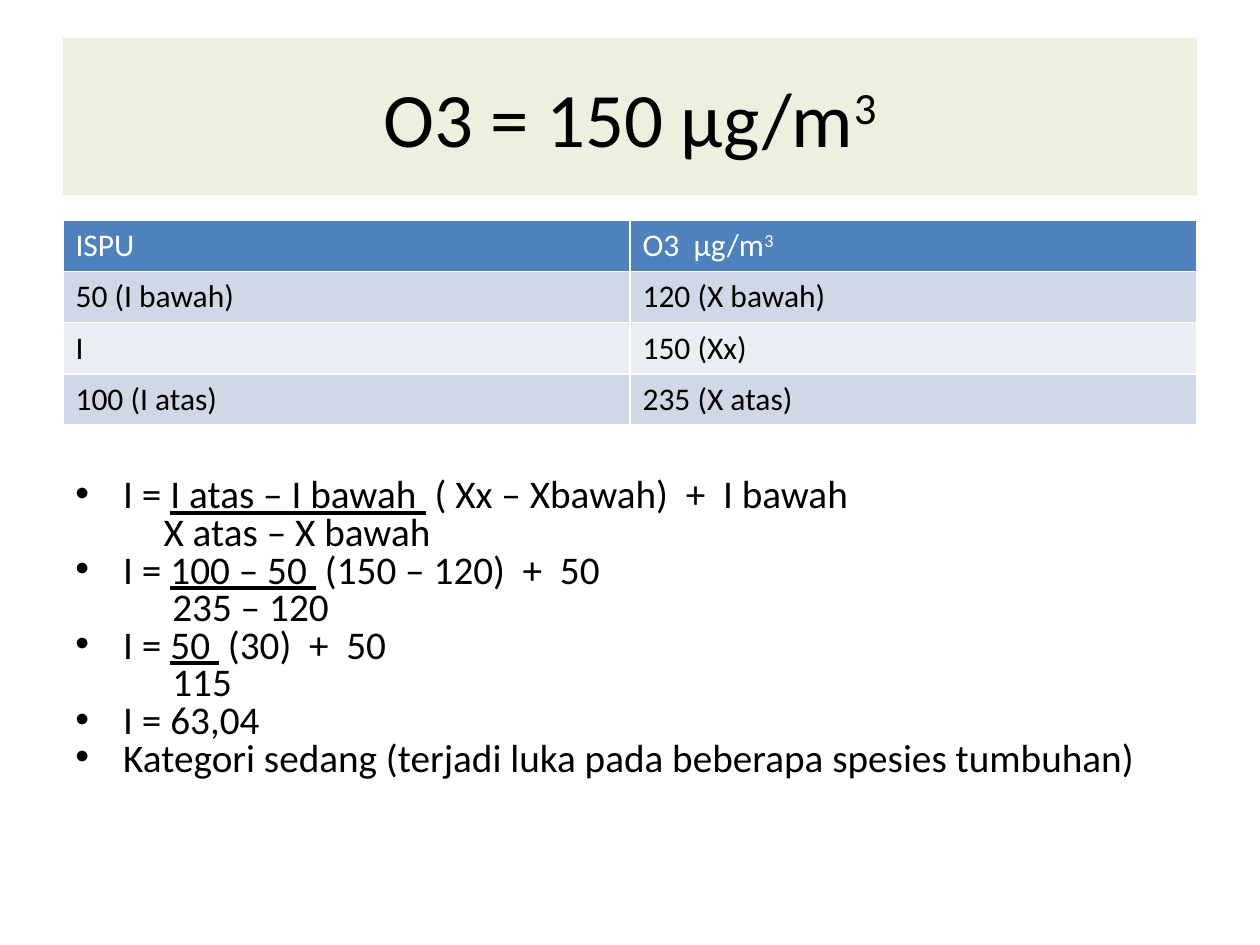
from lxml import etree
from pptx import Presentation
from pptx.dml.color import RGBColor
from pptx.enum.shapes import MSO_SHAPE
from pptx.enum.text import MSO_ANCHOR, PP_ALIGN
from pptx.oxml import parse_xml
from pptx.oxml.ns import qn
from pptx.util import Inches, Pt

RECTANGLE = MSO_SHAPE.RECTANGLE
MIDDLE = MSO_ANCHOR.MIDDLE
CENTER = PP_ALIGN.CENTER
NAMESPACE = "http://schemas.openxmlformats.org/drawingml/2006/main"


def color(value):
    return RGBColor.from_string(value)


def add_span(para, text, size, ink="000000", underline=False, raised=False):
    span = para.add_run()
    span.text = text
    formats = {"name": "Calibri", "size": Pt(size), "underline": underline}
    for name, value in formats.items():
        setattr(span.font, name, value)
    span.font.color.rgb = color(ink)
    if raised:
        span.font._element.set("baseline", "30000")


deck = Presentation()
deck.slide_width = Inches(10)
deck.slide_height = Inches(7.5)
page = deck.slides.add_slide(deck.slide_layouts[6])

title = page.shapes.add_shape(RECTANGLE, Inches(0.5), Inches(0.3), Inches(9), Inches(1.25))
title.shadow.inherit = False
title.fill.solid()
title.fill.fore_color.rgb = color("EBF1DE")
title.line.fill.background()
title.text_frame.word_wrap = True
title.text_frame.vertical_anchor = MIDDLE
para = title.text_frame.paragraphs[0]
para.alignment = CENTER
add_span(para, "O3 = 150 μg/m", 44)
add_span(para, "3", 44, raised=True)

index_rows = [
    ("ISPU", "O3  μg/m"),
    ("50 (I bawah)", "120 (X bawah)"),
    ("I", "150 (Xx)"),
    ("100 (I atas)", "235 (X atas)"),
]
row_fills = ["4F81BD", "D0D8E8", "E9EDF4", "D0D8E8"]
table = page.shapes.add_table(
    len(index_rows), 2, Inches(0.5), Inches(1.75), Inches(9), Inches(1.62)
).table
for row_index, (texts, fill) in enumerate(zip(index_rows, row_fills)):
    ink = "FFFFFF" if row_index == 0 else "000000"
    for column_index, text in enumerate(texts):
        cell = table.cell(row_index, column_index)
        para = cell.text_frame.paragraphs[0]
        add_span(para, text, 18, ink)
        if text.endswith("/m"):
            add_span(para, "3", 18, ink, raised=True)
        properties = cell._tc.get_or_add_tcPr()
        for side in ("lnL", "lnR", "lnT", "lnB"):
            properties.append(parse_xml(
                f'<a:{side} xmlns:a="{NAMESPACE}" w="12700"><a:solidFill>'
                f'<a:srgbClr val="FFFFFF"/></a:solidFill></a:{side}>'
            ))
        cell.fill.solid()
        cell.fill.fore_color.rgb = color(fill)

steps = [
    ("I = ", "I atas – I bawah ", " ( Xx – Xbawah)  +  I bawah", "X atas – X bawah", 0.7),
    ("I = ", "100 – 50 ", " (150 – 120)  +  50", "235 – 120", 0.77),
    ("I = ", "50 ", " (30)  +  50", "115", 0.77),
    ("I = 63,04", "", "", "", 0),
    ("Kategori sedang (terjadi luka pada beberapa spesies tumbuhan)", "", "", "", 0),
]
lines = []
for start, numerator, rest, denominator, indent in steps:
    lines.append(([(start, False), (numerator, True), (rest, False)], 0.38, True))
    if denominator:
        lines.append(([(denominator, False)], indent, False))

box = page.shapes.add_textbox(Inches(0.5), Inches(3.75), Inches(9), Inches(2.95))
frame = box.text_frame
frame.word_wrap = True
for line_index, (spans, margin, bulleted) in enumerate(lines):
    para = frame.add_paragraph() if line_index else frame.paragraphs[0]
    para.line_spacing = 0.8
    properties = para._p.get_or_add_pPr()
    properties.set("marL", str(Inches(margin)))
    properties.set("indent", str(Inches(-0.38) if bulleted else 0))
    if bulleted:
        etree.SubElement(properties, qn("a:buFont")).set("typeface", "Arial")
        etree.SubElement(properties, qn("a:buChar")).set("char", "•")
    for text, underline in spans:
        if text:
            add_span(para, text, 22.4, underline=underline)

deck.save("out.pptx")
